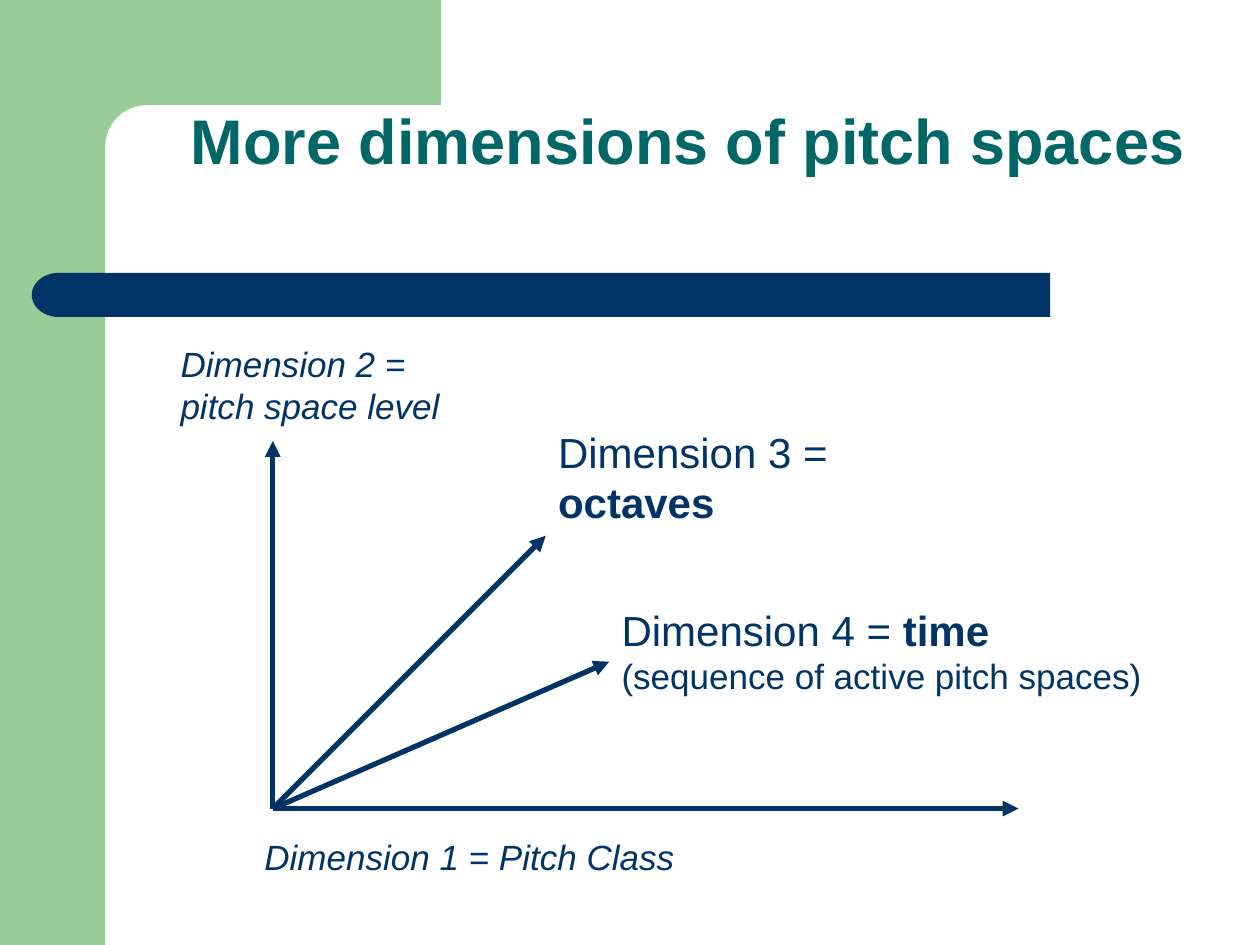
import pptx
import pptx.util
import pptx.dml.color
import pptx.enum.shapes
import pptx.enum.text
import pptx.oxml
import pptx.oxml.ns
import lxml.etree

Cm = pptx.util.Cm
Pt = pptx.util.Pt
RGBColor = pptx.dml.color.RGBColor
SHAPE = pptx.enum.shapes.MSO_SHAPE
ANCHOR = pptx.enum.text.MSO_ANCHOR

GREEN = RGBColor(0x99, 0xCC, 0x99)
WHITE = RGBColor(0xFF, 0xFF, 0xFF)
NAVY = RGBColor(0x00, 0x33, 0x66)
TEAL = RGBColor(0x00, 0x66, 0x66)

deck = pptx.Presentation()
deck.slide_width = Cm(25.4)
deck.slide_height = Cm(19.05)
page = deck.slides.add_slide(deck.slide_layouts[6])


def add_text(lines, left, top, width, height, size=20, color=NAVY,
             italic=False, anchor=ANCHOR.TOP, spacing=None):
    """Each line is a list of (text, bold, size); a size of None takes the default."""
    box = page.shapes.add_textbox(Cm(left), Cm(top), Cm(width), Cm(height))
    frame = box.text_frame
    frame.word_wrap = True
    frame.vertical_anchor = anchor
    para = frame.paragraphs[0]
    para.line_spacing = spacing
    for number, line in enumerate(lines):
        if number:
            para.add_line_break()
        for text, bold, own_size in line:
            span = para.add_run()
            span.text = text
            span.font.name = "Arial"
            span.font.size = Pt(own_size or size)
            span.font.bold = bold
            span.font.italic = italic
            span.font.color.rgb = color


# Green frame, its rounded white corner, and the navy bar with a round end
decoration = [
    (SHAPE.RECTANGLE, 0, 0, 2.12, 19.05, GREEN),
    (SHAPE.RECTANGLE, 1.9, 0, 6.99, 2.96, GREEN),
    (SHAPE.ROUNDED_RECTANGLE, 2.12, 2.12, 14.18, 1.69, WHITE),
    (SHAPE.RECTANGLE, 1.69, 5.5, 19.48, 0.89, NAVY),
    (SHAPE.FLOWCHART_DELAY, 0.64, 5.5, 1.09, 0.89, NAVY),
]
for kind, left, top, width, height, color in decoration:
    shape = page.shapes.add_shape(kind, Cm(left), Cm(top), Cm(width), Cm(height))
    shape.shadow.inherit = False
    shape.fill.solid()
    shape.fill.fore_color.rgb = color
    shape.line.fill.background()
    if kind == SHAPE.ROUNDED_RECTANGLE:
        shape.adjustments[0] = 0.5
    elif kind == SHAPE.FLOWCHART_DELAY:
        shape.rotation = 180

# Title
add_text([[("More dimensions of pitch spaces", True, None)]], 3.6, 0.64, 21.8, 3.07,
         size=36, color=TEAL, anchor=ANCHOR.BOTTOM, spacing=0.9)

# Four axes from one origin
origin_x, origin_y = 5.5, 16.3
for tip_x, tip_y in [(20.53, origin_y), (origin_x, 8.89), (11, 10.8), (12.28, 13.34)]:
    axis = page.shapes.add_connector(pptx.enum.shapes.MSO_CONNECTOR.STRAIGHT,
                                     Cm(origin_x), Cm(origin_y), Cm(tip_x), Cm(tip_y))
    axis.line.color.rgb = NAVY
    axis.line.width = Pt(3)
    outline = axis.line._get_or_add_ln()
    lxml.etree.SubElement(outline, pptx.oxml.ns.qn("a:tailEnd"), type="triangle")
    lxml.etree.SubElement(axis._element.spPr, pptx.oxml.ns.qn("a:effectLst"))

# Axis labels
add_text([[("Dimension 1 = Pitch Class", False, None)]],
         5.08, 16.72, 15.24, 1.11, italic=True)
add_text([[("Dimension 2 =", False, None)], [("pitch space level", False, None)]],
         3.39, 6.77, 9.31, 1.96, italic=True)
add_text([[("Dimension 3 =", False, None)], [("octaves", True, None)]],
         11, 8.47, 9.31, 2.3, size=24)
add_text([[("Dimension 4 = ", False, None), ("time", True, None)],
          [("(sequence of active pitch spaces)", False, 20)]],
         12.28, 12.06, 12.06, 2.13, size=24)

deck.save("out.pptx")
